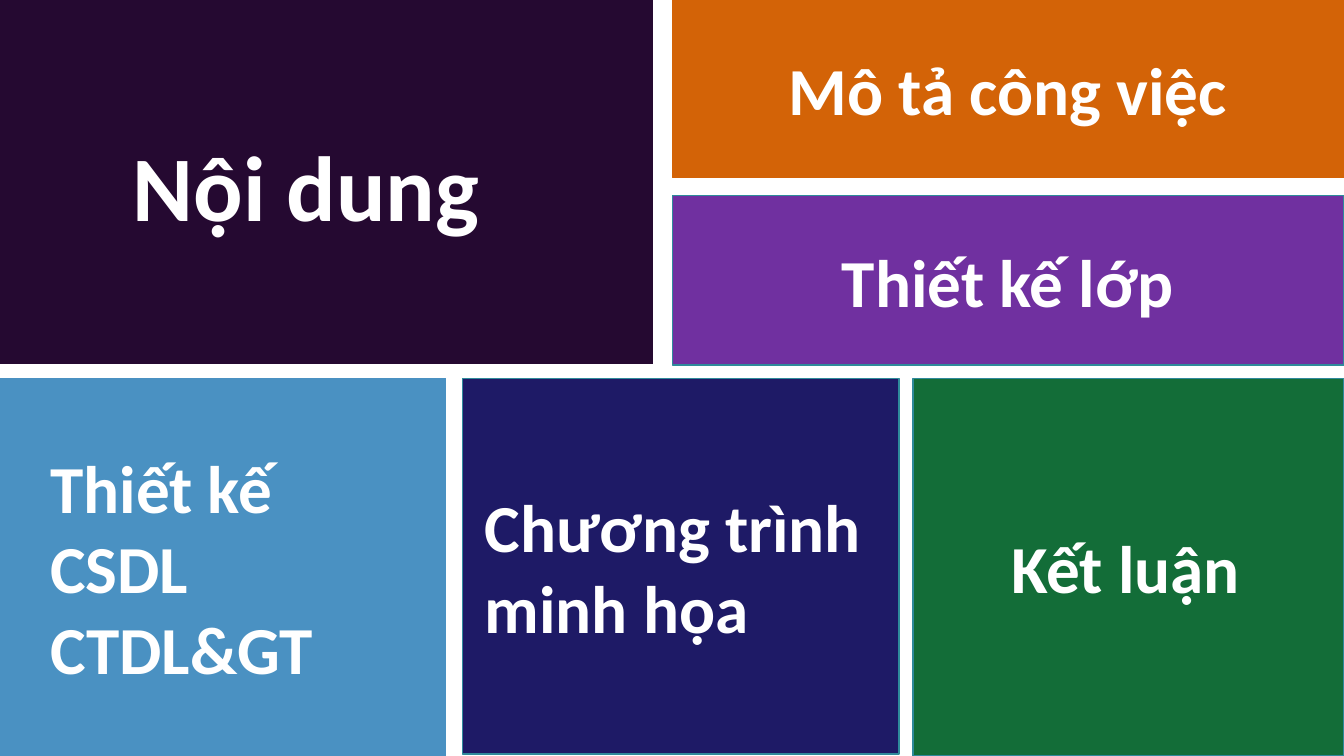
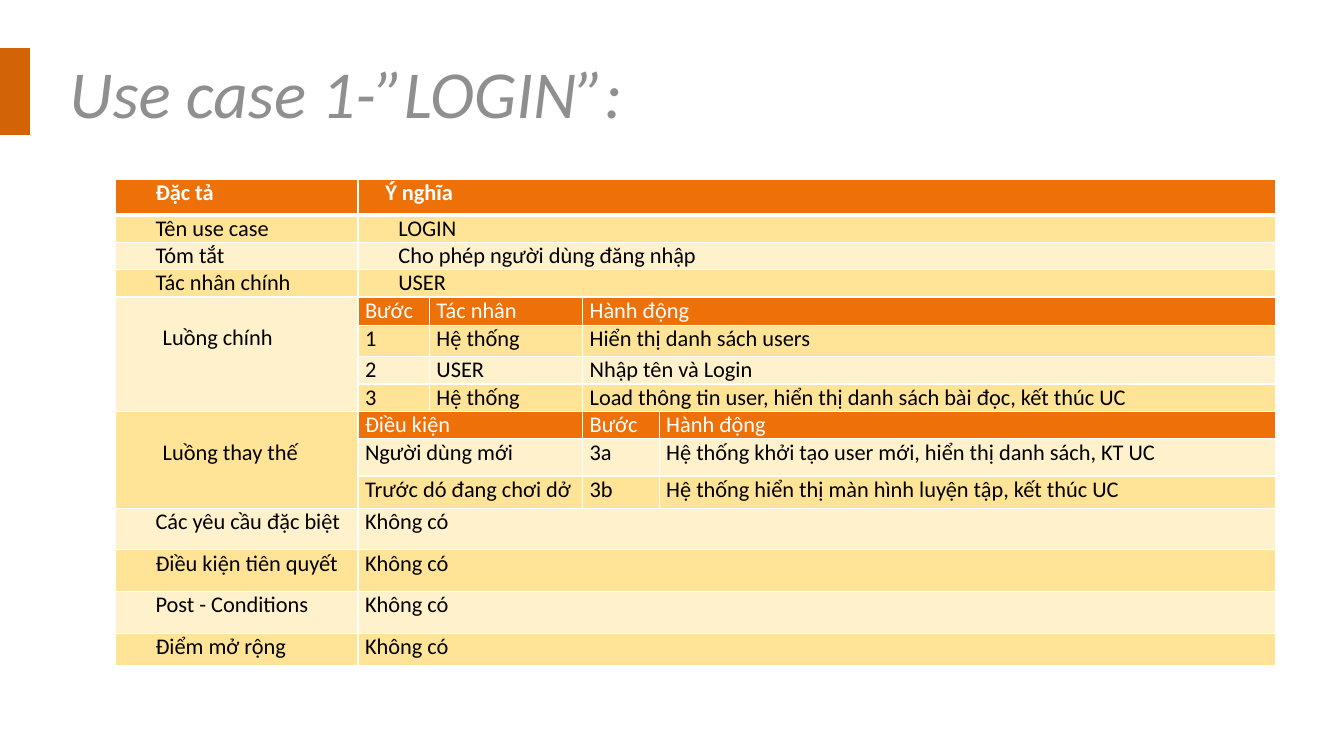
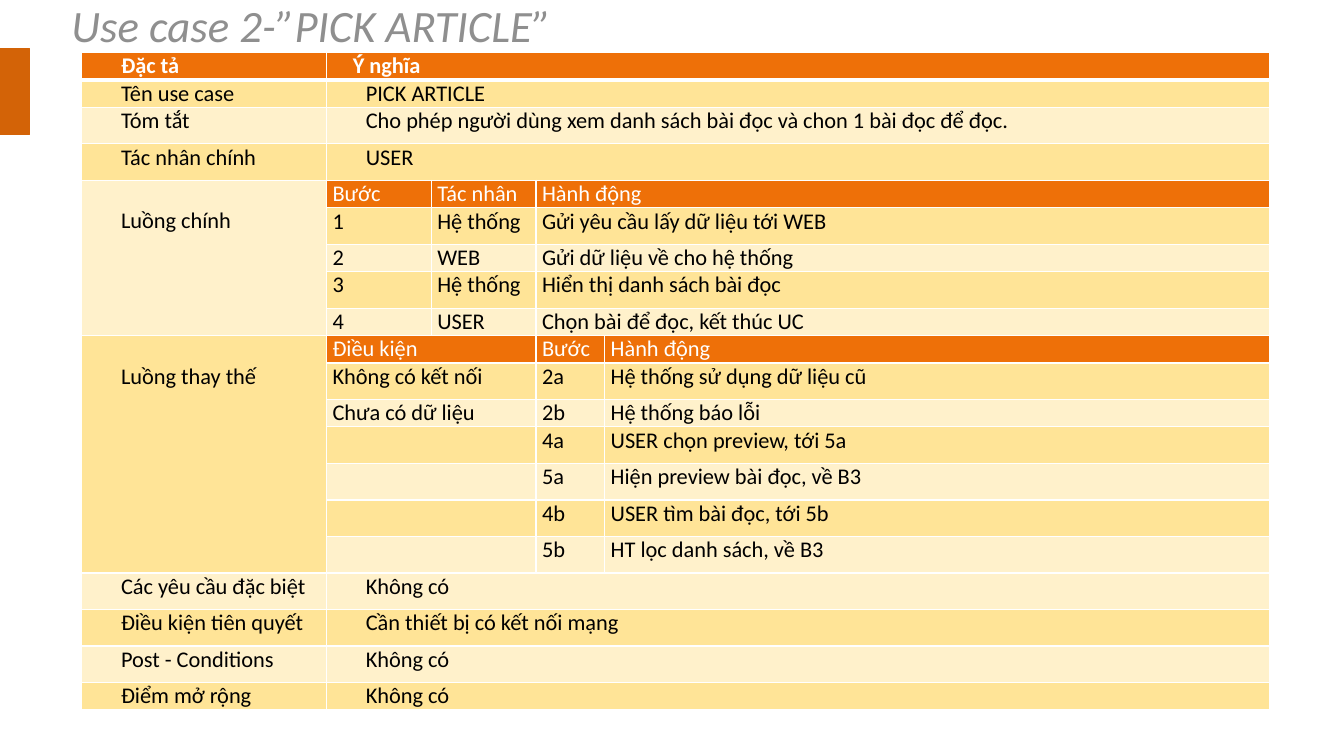
from lxml.etree import SubElement
from pptx import Presentation
from pptx.dml.color import RGBColor
from pptx.enum.shapes import MSO_SHAPE as Preset
from pptx.enum.text import MSO_ANCHOR as Anchor, MSO_AUTO_SIZE as AutoSize, PP_ALIGN as Align
from pptx.oxml.ns import qn
from pptx.util import Cm, Pt

# Colours
WHITE = RGBColor(0xFF, 0xFF, 0xFF)
BLACK = RGBColor(0x00, 0x00, 0x00)
GREY = RGBColor(0x8F, 0x8F, 0x8F)
PLUM = RGBColor(0x25, 0x09, 0x31)
ORANGE = RGBColor(0xD3, 0x63, 0x07)
PURPLE = RGBColor(0x70, 0x30, 0xA0)
BLUE = RGBColor(0x4A, 0x91, 0xC2)
NAVY = RGBColor(0x1E, 0x1A, 0x66)
GREEN = RGBColor(0x13, 0x6D, 0x38)
TEAL = RGBColor(0x2F, 0x8A, 0x9B)
HEAD_FILL = RGBColor(0xEE, 0x70, 0x08)
BANDS = (RGBColor(0xFF, 0xE4, 0x97), RGBColor(0xFF, 0xF1, 0xCB))

# Text styles
COVER_TITLE = {"size": Pt(66), "bold": True, "color": WHITE}
TILE_TEXT = {"size": Pt(48), "bold": True, "color": WHITE}
TABLE_HEAD = {"size": Pt(16), "bold": True, "color": WHITE}
TABLE_SUBHEAD = {"size": Pt(16), "bold": False, "color": WHITE}
TABLE_TEXT = {"size": Pt(16), "bold": False, "color": BLACK}


def write(frame, text, style, align=Align.LEFT):
    frame.text = text
    for para in frame.paragraphs:
        para.alignment = align
        for span in para.runs:
            span.font.name = "Calibri"
            for name, value in style.items():
                if name == "color":
                    span.font.color.rgb = value
                else:
                    setattr(span.font, name, value)


def add_block(page, place, fill, line):
    block = page.shapes.add_shape(Preset.RECTANGLE, *map(Cm, place))
    block.shadow.inherit = False
    block.fill.solid()
    block.fill.fore_color.rgb = fill
    block.line.color.rgb = line
    block.line.width = Pt(0.85)
    return block


# Content of the use cases
LABELS = ("Đặc tả", "Tên use case", "Tóm tắt", "Tác nhân chính", "Luồng chính",
          "Luồng thay thế", "Các yêu cầu đặc biệt", "Điều kiện tiên quyết",
          "Post - Conditions", "Điểm mở rộng")
MAIN_HEAD = ("Bước", "Tác nhân", "Hành động")
OTHER_HEAD = ("Điều kiện", "Bước", "Hành động")
WIDE_SPAN = ((1, 4),)
SPANS = {"Luồng chính": ((1, 1), (2, 2), (3, 4)),
         "Luồng thay thế": ((1, 2), (3, 3), (4, 4))}

USE_CASES = [
    {
        "title": "Use case 1-”LOGIN”:",
        "title_place": (1.19, 1.17, 14.96, 2.31),
        "title_size": 48,
        "corner": (2.9, 4.52),
        "columns": (6.12, 1.8, 3.86, 1.93, 15.54),
        "rows": (0.89, 0.69, 0.69, 0.69, 0.71, 0.79, 0.69, 0.69,
                 0.69, 0.94, 0.81, 1.05, 1.05, 1.05, 0.81),
        "inset": 0.18, "flow_indent": 1.2, "closing_indent": 0.18,
        "blocks": [
            [("Ý nghĩa",)],
            [("LOGIN",)],
            [("Cho phép người dùng đăng nhập",)],
            [("USER",)],
            [MAIN_HEAD,
             ("1", "Hệ thống", "Hiển thị danh sách users"),
             ("2", "USER", "Nhập tên và Login"),
             ("3", "Hệ thống", "Load thông tin user, hiển thị danh sách bài đọc, kết thúc UC")],
            [OTHER_HEAD,
             ("Người dùng mới", "3a", "Hệ thống khởi tạo user mới, hiển thị danh sách, KT UC"),
             ("Trước dó đang chơi dở", "3b", "Hệ thống hiển thị màn hình luyện tập, kết thúc UC")],
            [("Không có",)],
            [("Không có",)],
            [("Không có",)],
            [("Không có",)],
        ],
    },
    {
        "title": "Use case 2-”PICK ARTICLE”",
        "title_place": (1.24, -0.18, 13.26, 1.63),
        "title_size": 32,
        "corner": (2.06, 1.32),
        "columns": (6.17, 2.64, 2.64, 1.73, 16.76),
        "rows": (0.69, 0.69, 0.92, 0.92, 0.69, 0.92, 0.69, 0.92, 0.69, 0.69,
                 0.92, 0.69, 0.92, 0.92, 0.92, 0.92, 0.92, 0.92, 0.92, 0.69),
        "inset": 0.15, "flow_indent": 0.99, "closing_indent": 0.99,
        "blocks": [
            [("Ý nghĩa",)],
            [("PICK ARTICLE",)],
            [("Cho phép người dùng xem danh sách bài đọc và chon 1 bài đọc để đọc.",)],
            [("USER",)],
            [MAIN_HEAD,
             ("1", "Hệ thống", "Gửi yêu cầu lấy dữ liệu tới WEB"),
             ("2", "WEB", "Gửi dữ liệu về cho hệ thống"),
             ("3", "Hệ thống", "Hiển thị danh sách bài đọc"),
             ("4", "USER", "Chọn bài để đọc, kết thúc UC")],
            [OTHER_HEAD,
             ("Không có kết nối", "2a", "Hệ thống sử dụng dữ liệu cũ"),
             ("Chưa có dữ liệu", "2b", "Hệ thống báo lỗi"),
             ("", "4a", "USER chọn preview, tới 5a"),
             ("", "5a", "Hiện preview bài đọc, về B3"),
             ("", "4b", "USER tìm bài đọc, tới 5b"),
             ("", "5b", "HT lọc danh sách, về B3")],
            [("Không có",)],
            [("Cần thiết bị có kết nối mạng",)],
            [("Không có",)],
            [("Không có",)],
        ],
    },
]

deck = Presentation()
deck.slide_width, deck.slide_height = Cm(33.87), Cm(19.05)
title_only = deck.slide_layouts[5]

# Titles of all slides: text, place, left inset, style
titles = [("Nội dung", (3.1, 3.12, 9.78, 3.07), 0.25, COVER_TITLE)]
for case in USE_CASES:
    case_style = {"size": Pt(case["title_size"]), "italic": True, "color": GREY}
    titles.append((case["title"], case["title_place"], 0.56, case_style))
for text, place, inset, style in titles:
    title = deck.slides.add_slide(title_only).shapes.title
    title.left, title.top, title.width, title.height = map(Cm, place)
    frame = title.text_frame
    frame.auto_size = AutoSize.NONE
    frame.word_wrap = False
    frame.vertical_anchor = Anchor.TOP
    frame.margin_left = Cm(inset)
    write(frame, text, style)
contents_page, *case_pages = deck.slides

# Contents: white ground around the dark corner
contents_page.background.fill.solid()
contents_page.background.fill.fore_color.rgb = PLUM
for place in ((16.48, 0, 17.39, 19.05), (0, 9.19, 16.48, 9.86)):
    add_block(contents_page, place, WHITE, WHITE)

# Contents: tiles
tiles = [
    ("Mô tả công việc", (16.94, 0, 16.93, 4.47), ORANGE, ORANGE, Align.CENTER, 0.25),
    ("Thiết kế lớp", (16.94, 4.93, 16.93, 4.27), PURPLE, TEAL, Align.CENTER, 0.25),
    ("Thiết kế\nCSDL\nCTDL&GT", (0, 9.53, 11.23, 9.52), BLUE, BLUE, Align.LEFT, 1.27),
    ("Chương trình minh họa", (11.66, 9.53, 11, 9.47), NAVY, TEAL, Align.LEFT, 0.56),
    ("Kết luận", (23.01, 9.53, 10.85, 9.52), GREEN, TEAL, Align.LEFT, 2.47),
]
for text, place, fill, line, align, inset in tiles:
    frame = add_block(contents_page, place, fill, line).text_frame
    frame.word_wrap = True
    frame.vertical_anchor = Anchor.MIDDLE
    frame.margin_left = Cm(inset)
    write(frame, text, TILE_TEXT, align)

# Use cases: one table each
for page, case in zip(case_pages, USE_CASES):
    columns, rows = case["columns"], case["rows"]
    inset = case["inset"]
    table = page.shapes.add_table(
        len(rows), len(columns), *map(Cm, case["corner"]),
        Cm(sum(columns)), Cm(sum(rows))).table
    for column, width in zip(table.columns, columns):
        column.width = Cm(width)
    for row, height in zip(table.rows, rows):
        row.height = Cm(height)

    # White cell borders, thicker under the header
    for row_no, row in enumerate(table.rows):
        for cell in row.cells:
            for side in "LRTB":
                thick = (row_no, side) in ((0, "B"), (1, "T"))
                border = SubElement(cell._tc.get_or_add_tcPr(), qn("a:ln" + side),
                                    w=str(Pt(3 if thick else 1)))
                paint = SubElement(border, qn("a:solidFill"))
                SubElement(paint, qn("a:srgbClr"), val=str(WHITE))

    # Gather the cells: first and last corner, text, fill, style, left and top inset
    entries = []
    top = steps = 0
    for number, (label, block) in enumerate(zip(LABELS, case["blocks"])):
        is_flow = label in SPANS
        band = HEAD_FILL if number == 0 else BANDS[(number - 1) % 2]
        style = TABLE_HEAD if number == 0 else TABLE_TEXT
        indent = case["flow_indent"] if is_flow else inset + 0.84
        entries.append((top, 0, top + len(block) - 1, 0, label, band, style,
                        indent, 0.69 if is_flow else 0))
        for line_no, values in enumerate(block):
            fill, value_style, left = band, style, inset
            if is_flow and line_no == 0:
                fill, value_style = HEAD_FILL, TABLE_SUBHEAD
            elif is_flow:
                fill = BANDS[steps % 2]
                steps += 1
            elif number == 0:
                left = inset + 0.51
            else:
                left = indent if number < 4 else case["closing_indent"]
            for (first, last), value in zip(SPANS.get(label, WIDE_SPAN), values):
                entries.append((top, first, top, last, value, fill, value_style, left, 0))
            top += 1

    for row_a, col_a, row_b, col_b, text, fill, style, left, upper in entries:
        cell = table.cell(row_a, col_a)
        if (row_a, col_a) != (row_b, col_b):
            cell.merge(table.cell(row_b, col_b))
        margins = {"margin_left": left, "margin_right": inset,
                   "margin_top": upper, "margin_bottom": 0}
        for name, value in margins.items():
            setattr(cell, name, Cm(value))
        cell.fill.solid()
        cell.fill.fore_color.rgb = fill
        write(cell.text_frame, text, style)

    # Accent at the left edge
    add_block(page, (0, 1.22, 0.74, 2.18), ORANGE, ORANGE)

deck.save("out.pptx")
